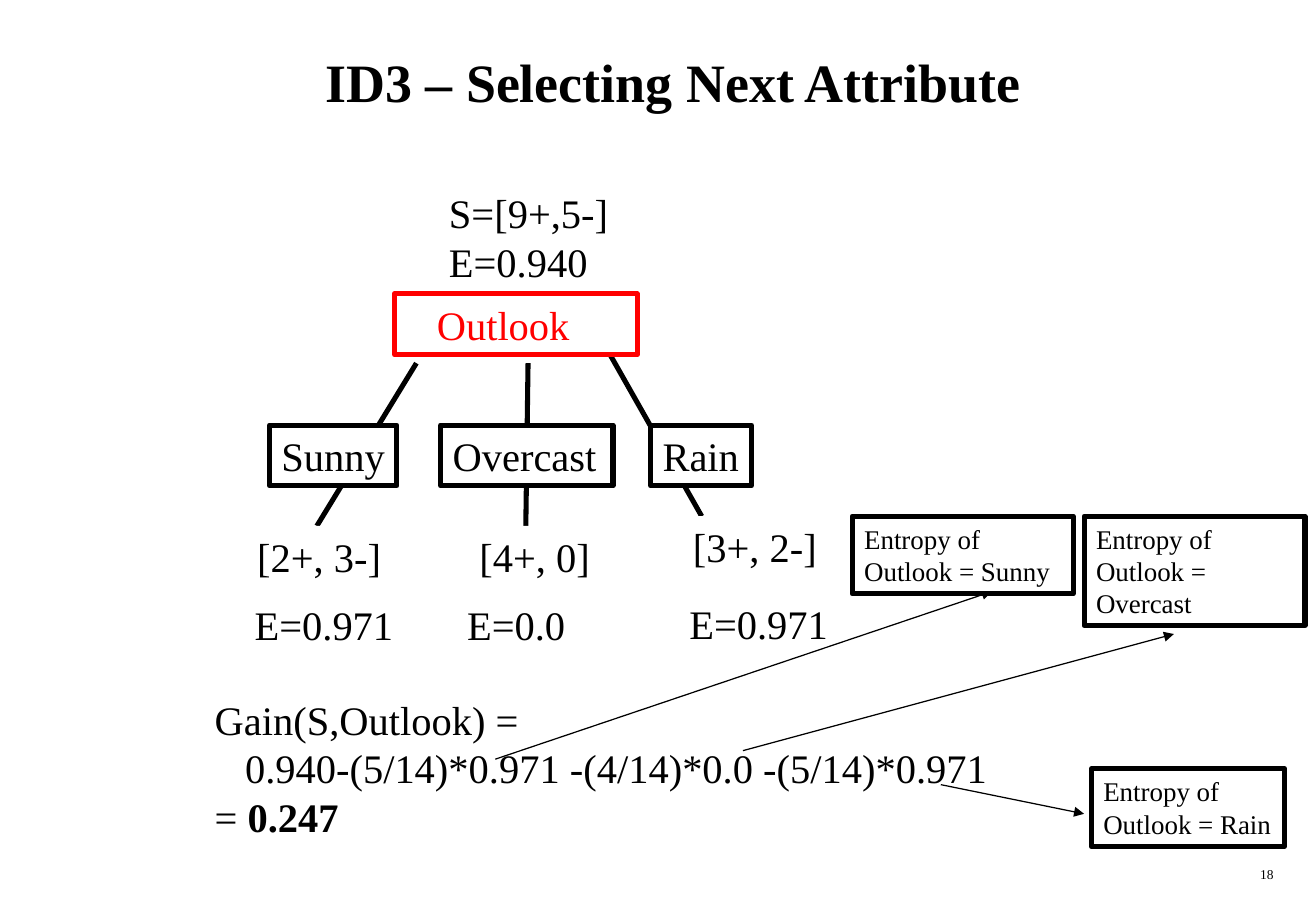
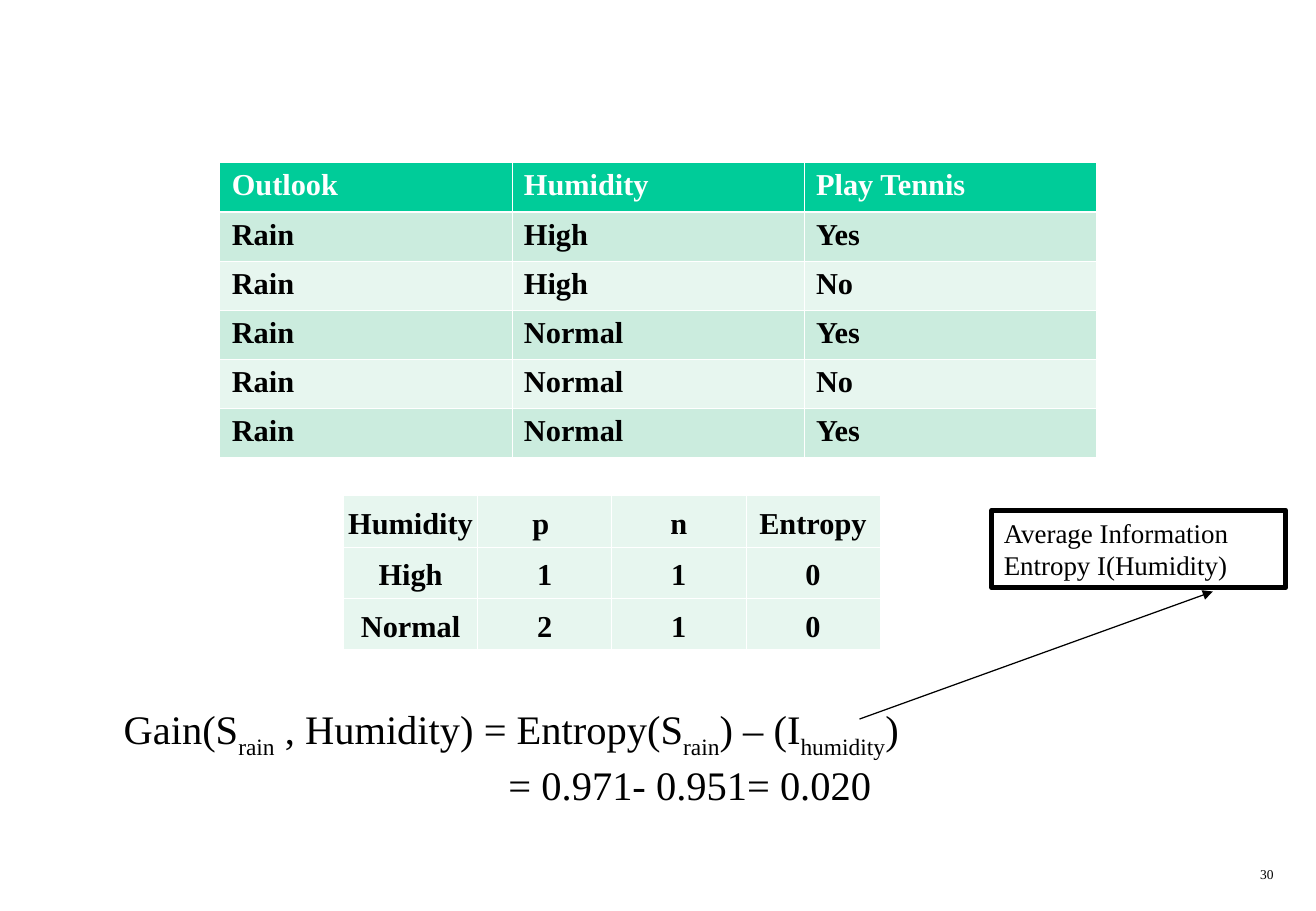
"""Build two decision-tree slides on ID3 attribute selection."""
from dataclasses import dataclass

from lxml.etree import SubElement
from pptx import Presentation
from pptx.dml.color import RGBColor
from pptx.enum.shapes import MSO_CONNECTOR as CONN, MSO_SHAPE as SHAPE
from pptx.enum.text import MSO_ANCHOR as ANCHOR, MSO_AUTO_SIZE as AUTO, PP_ALIGN as ALIGN
from pptx.oxml.ns import qn
from pptx.util import Inches, Pt


@dataclass(frozen=True)
class Theme:
    font: str = "Times New Roman"
    black: str = "000000"
    white: str = "FFFFFF"
    red: str = "FF0000"
    header: str = "00CC99"
    band: str = "CBECDE"
    pale: str = "E7F6EF"
    title: int = 32
    body: int = 24
    cell: int = 18
    note: int = 16
    number: int = 8
    thick: float = 3
    thin: float = 0.75
    grid: float = 0.45
    rule: float = 1.47


T = Theme()
BOLD, SUB = "bold", "sub"

TITLE = "ID3 – Selecting Next Attribute"
BRANCHES = [
    ((3.43, 2.99), (2.61, 4.33)),
    ((4.35, 2.99), (4.33, 4.42)),
    ((5.02, 2.91), (5.78, 4.25)),
]
ROOT = ("Outlook", (3.25, 2.42, 2, 0.5))
VALUES = [
    ("Sunny", (2.22, 3.5, 1.05, 0.5), False),
    ("Overcast", (3.63, 3.5, 1.42, 0.5), True),
    ("Rain", (5.36, 3.5, 0.83, 0.5), False),
]
COUNTS = [
    ("[2+, 3-]", (2.02, 4.33, 1.22, 0.5)),
    ("[4+, 0]", (3.85, 4.33, 1.11, 0.5)),
    ("[3+, 2-]", (5.61, 4.25, 1.22, 0.5)),
]
ENTROPIES = [
    ("E=0.971", (2, 5, 1.5, 0.38), 0.7),
    ("E=0.0", (3.75, 5, 1.5, 0.38), 0.7),
    ("E=0.971", (5.58, 4.88, 1.5, 0.5), 1),
]
START = [(0, ["S=[9+,5-]"]), (0, ["E=0.940"])]
OUTLOOK_GAIN = [
    (0, ["Gain(S,Outlook) ="]),
    (0.25, ["0.940-(5/14)*0.971 -(4/14)*0.0 -(5/14)*0.971"]),
    (0, ["= ", ("0.247", BOLD)]),
]
OUTLOOK_NOTES = [
    ("Entropy of Outlook = Sunny", (7.02, 4.25, 1.82, 0.64), (4.08, 6.25), (8.17, 4.87)),
    ("Entropy of Outlook = Overcast", (8.93, 4.25, 1.82, 0.9), (6.12, 6.18), (9.67, 5.22)),
    ("Entropy of Outlook = Rain", (8.99, 6.33, 1.59, 0.64), (7.75, 6.46), (8.93, 6.7)),
]

RAIN_ROWS = [
    ("Outlook", "Humidity", "Play Tennis"),
    ("Rain", "High", "Yes"),
    ("Rain", "High", "No"),
    ("Rain", "Normal", "Yes"),
    ("Rain", "Normal", "No"),
    ("Rain", "Normal", "Yes"),
]
HUMIDITY_ROWS = [
    ("Humidity", "p ", "n", "Entropy"),
    ("High", "1", "1", "0"),
    ("Normal", "2", "1", "0"),
]
HUMIDITY_GAIN = [
    (0, ["Gain(S", ("rain", SUB), " , Humidity) = Entropy(S", ("rain", SUB),
         ") – (I", ("humidity", SUB), ")"]),
    (3.17, ["= 0.971- 0.951= 0.020"]),
]
HUMIDITY_NOTES = [
    ("Average Information Entropy I(Humidity)", (8.17, 4.2, 2.42, 0.64),
     (7.08, 5.92), (9.99, 4.87)),
]


def rgb(color):
    """Turn a hex string into a colour."""
    return RGBColor.from_string(color)


def add_run(p, text, size, color=T.black, style=None):
    """Append one formatted run to a paragraph."""
    r = p.add_run()
    r.text = text
    r.font.name, r.font.size = T.font, Pt(size)
    r.font.bold = style == BOLD
    r.font.color.rgb = rgb(color)
    if style == SUB:
        r.font._element.set("baseline", "-25000")


def add_box(s, at, content, size=T.body, color=T.black, line=None, filled=False,
            wrap=True, align=ALIGN.LEFT, spacing=None):
    """Add a text box, or a white rectangle when filled or outlined."""
    area = [Inches(v) for v in at]
    if line or filled:
        sp = s.shapes.add_shape(SHAPE.RECTANGLE, *area)
        sp.shadow.inherit = False
        sp.fill.solid()
        sp.fill.fore_color.rgb = rgb(T.white)
        if line:
            sp.line.color.rgb, sp.line.width = rgb(line), Pt(T.thick)
        else:
            sp.line.fill.background()
    else:
        sp = s.shapes.add_textbox(*area)
    tf = sp.text_frame
    tf.word_wrap, tf.vertical_anchor = wrap, ANCHOR.TOP
    tf.auto_size = AUTO.SHAPE_TO_FIT_TEXT
    paragraphs = [(0, [content])] if isinstance(content, str) else content
    for i, (indent, runs) in enumerate(paragraphs):
        p = tf.add_paragraph() if i else tf.paragraphs[0]
        p.alignment = align
        if spacing:
            p.line_spacing = spacing
        if indent:
            p._p.get_or_add_pPr().set("marL", str(Inches(indent)))
        for run in runs:
            text, style = (run, None) if isinstance(run, str) else run
            add_run(p, text, size, color, style)


def add_line(s, start, end, width, arrow=False):
    """Draw a straight black line, with an arrowhead if wanted."""
    c = s.shapes.add_connector(CONN.STRAIGHT, *[Inches(v) for v in start + end])
    c.line.color.rgb, c.line.width = rgb(T.black), Pt(width)
    if arrow:
        SubElement(c.line._get_or_add_ln(), qn("a:tailEnd"), type="triangle")
    SubElement(c._element.spPr, qn("a:effectLst"))


def add_notes(s, notes):
    """Add outlined notes, each with the arrow that leads to it."""
    for text, at, start, end in notes:
        add_line(s, start, end, T.thin, arrow=True)
        add_box(s, at, text, T.note, line=T.black)


def set_borders(cell, widths):
    """Give a cell white borders: left, right, top, bottom."""
    tc_pr = cell._tc.get_or_add_tcPr()
    for i, (side, width) in enumerate(zip(("lnL", "lnR", "lnT", "lnB"), widths)):
        ln = tc_pr.makeelement(qn(f"a:{side}"), {"w": str(Pt(width))})
        fill = SubElement(ln, qn("a:solidFill"))
        SubElement(fill, qn("a:srgbClr"), val=T.white)
        tc_pr.insert(i, ln)


def add_grid(s, at, rows, fills, margin, align, anchor, header=False):
    """Add a bold table whose body rows take the given fills in turn."""
    x, y, w, h = [Inches(v) for v in at]
    table = s.shapes.add_table(len(rows), len(rows[0]), x, y, w, h).table
    for column in table.columns:
        column.width = int(w / len(rows[0]))
    for i, values in enumerate(rows):
        table.rows[i].height = int(h / len(rows))
        is_header = header and i == 0
        top = T.rule if header and i == 1 else T.grid
        bottom = T.rule if is_header else T.grid
        for j, value in enumerate(values):
            cell = table.cell(i, j)
            cell.fill.solid()
            cell.fill.fore_color.rgb = rgb(T.header if is_header else fills[(i - 1) % len(fills)])
            cell.margin_left = cell.margin_right = Inches(margin)
            cell.vertical_anchor = anchor
            set_borders(cell, (T.grid, T.grid, top, bottom))
            p = cell.text_frame.paragraphs[0]
            p.alignment = align
            add_run(p, value, T.cell, T.white if is_header else T.black, BOLD)


def add_slide(prs, number, title=None):
    """Add a slide with its page number and, if given, its title."""
    s = prs.slides.add_slide(prs.slide_layouts[5 if title else 6])
    if title:
        sp = s.shapes.title
        sp.left, sp.top, sp.width, sp.height = [Inches(v) for v in (0.42, 0.17, 10.25, 1)]
        sp.text_frame.vertical_anchor = ANCHOR.MIDDLE
        p = sp.text_frame.paragraphs[0]
        p.alignment = ALIGN.CENTER
        add_run(p, title, T.title, style=BOLD)
    add_box(s, (8.33, 7.08, 2.26, 0.25), number, T.number, align=ALIGN.RIGHT)
    return s


def build_outlook(prs):
    """Build the tree split on Outlook and its gain."""
    s = add_slide(prs, "18", TITLE)
    for start, end in BRANCHES:
        add_line(s, start, end, T.thick)
    add_box(s, ROOT[1], [(0.25, [ROOT[0]])], color=T.red, line=T.red)
    for text, at, wrap in VALUES:
        add_box(s, at, text, line=T.black, wrap=wrap)
    for text, at in COUNTS:
        add_box(s, at, text, filled=True, wrap=False)
    for text, at, spacing in ENTROPIES:
        add_box(s, at, text, spacing=spacing)
    add_box(s, (3.6, 1.5, 1.51, 0.9), START, wrap=False)
    add_box(s, (1.67, 5.67, 7.42, 1.3), OUTLOOK_GAIN)
    add_notes(s, OUTLOOK_NOTES)


def build_humidity(prs):
    """Build the rain tables and the gain of Humidity."""
    s = add_slide(prs, "30")
    add_grid(s, (1.81, 1.34, 7.22, 2.43), RAIN_ROWS, (T.band, T.pale), 0.1,
             ALIGN.LEFT, ANCHOR.TOP, header=True)
    add_grid(s, (2.83, 4.08, 4.42, 1.27), HUMIDITY_ROWS, (T.pale,), 0.01,
             ALIGN.CENTER, ANCHOR.BOTTOM)
    add_box(s, (0.92, 5.75, 9.75, 0.96), HUMIDITY_GAIN)
    add_notes(s, HUMIDITY_NOTES)


def main():
    """Create and save the presentation."""
    prs = Presentation()
    prs.slide_width, prs.slide_height = Inches(10.84), Inches(7.5)
    build_outlook(prs)
    build_humidity(prs)
    prs.save("out.pptx")


if __name__ == "__main__":
    main()
